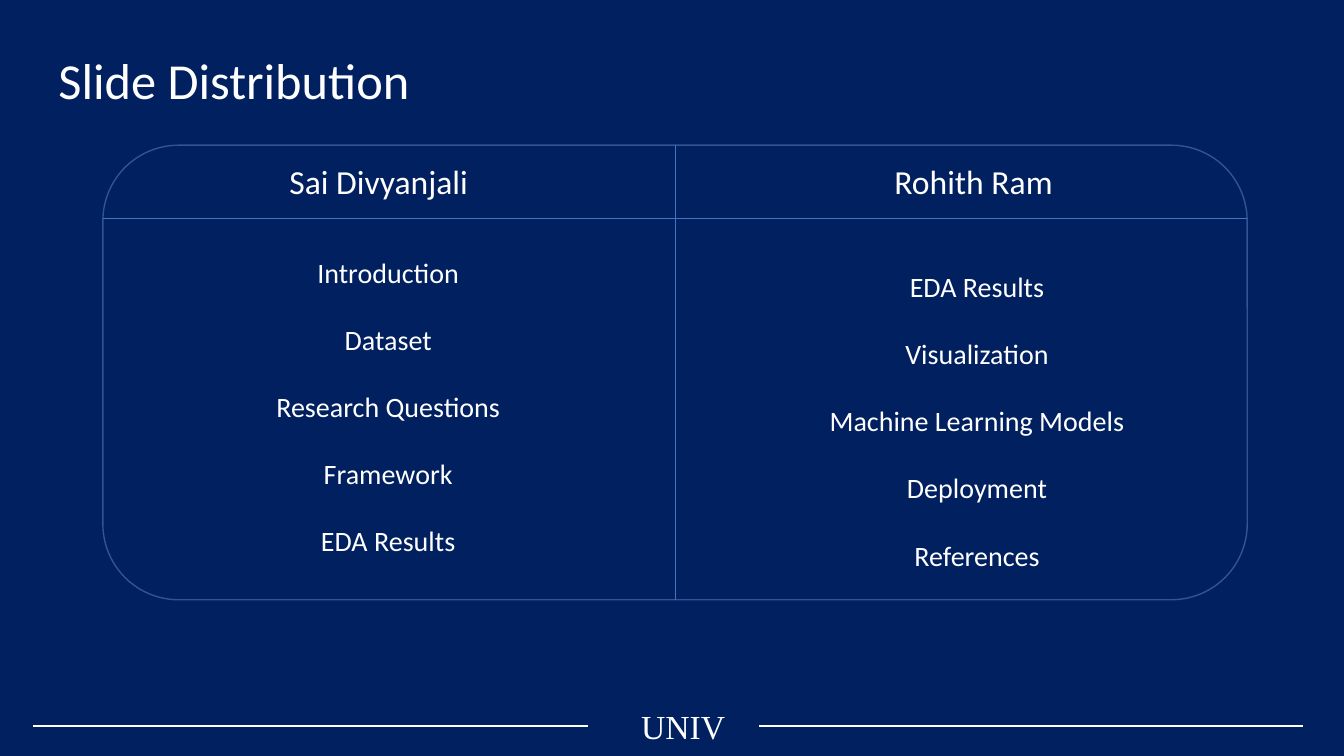
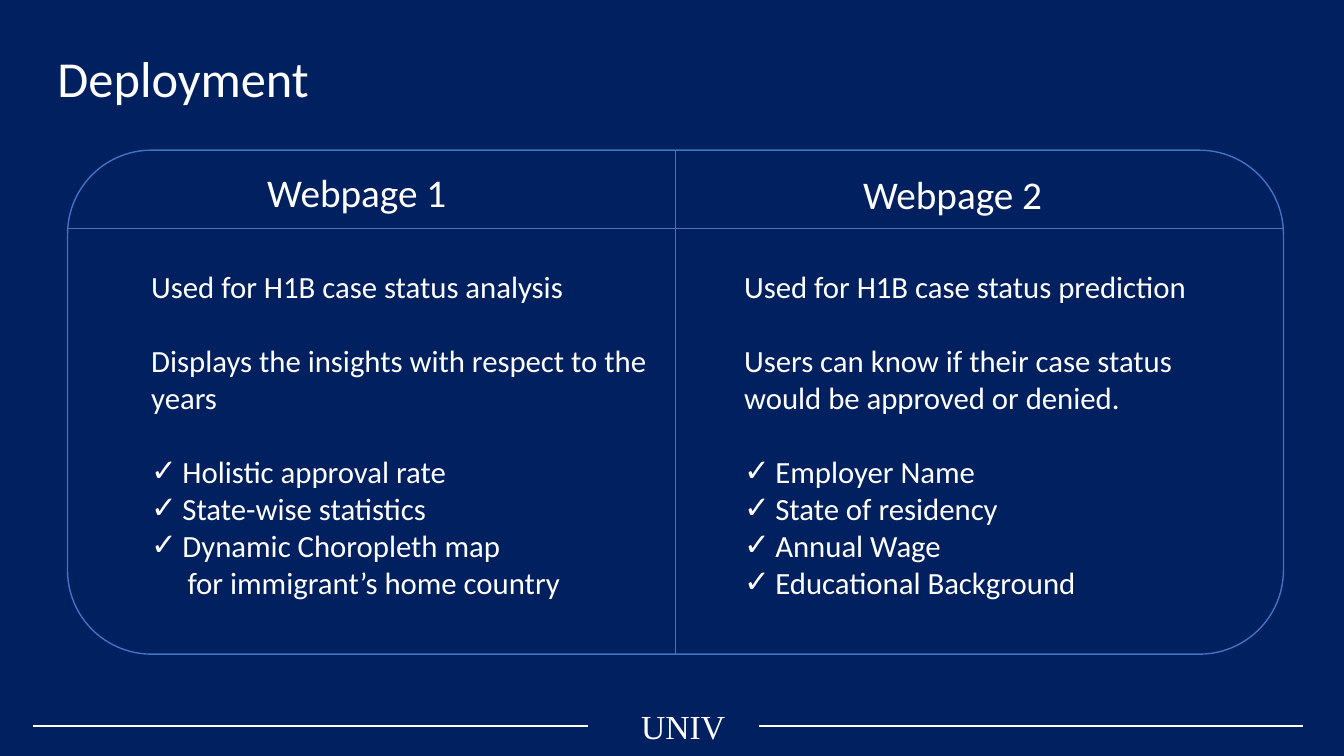
"""Build two comparison slides on a navy background."""
from lxml import etree
from pptx import Presentation
from pptx.dml.color import RGBColor
from pptx.enum.shapes import MSO_CONNECTOR, MSO_SHAPE
from pptx.enum.text import MSO_ANCHOR, MSO_AUTO_SIZE, PP_ALIGN
from pptx.oxml.ns import qn
from pptx.util import Pt

PX = 9144
STRAIGHT = MSO_CONNECTOR.STRAIGHT
ROUNDED = MSO_SHAPE.ROUNDED_RECTANGLE
TOP = MSO_ANCHOR.TOP
NO_FIT = MSO_AUTO_SIZE.NONE
LEFT, CENTER = PP_ALIGN.LEFT, PP_ALIGN.CENTER
TOP_SIDE, LEFT_SIDE, BOTTOM_SIDE, RIGHT_SIDE = range(4)

COLORS = {"navy": "002060", "white": "FFFFFF", "blue": "4472C4", "dim": "325491"}
FONT, FOOTER_FONT = "Calibri", "Times New Roman"
LINE_HEIGHT = 1.2
COMPARISON_LAYOUT = 4
HEADING_WIDTH, HEADING_HEIGHT = 404, 57
BODY_WIDTH, BODY_HEIGHT = 514, 343
INDENTS = {"plain": (0, 0), "check": (31, -31), "tail": (36, 0)}

SLIDES = [
    {
        "title": ("Slide Distribution", 48, 44),
        "card": (102, 144, 1135, 451),
        "outline": "dim",
        "header_height": 73,
        "heading_size": 24,
        "headings": [("Sai Divyanjali", 277, 155), ("Rohith Ram", 877, 155)],
        "body_size": 20,
        "align": CENTER,
        "bodies": [
            (128, 248, [("plain", [topic]) for topic in (
                "Introduction", "Dataset", "Research Questions",
                "Framework", "EDA Results")]),
            (712, 262, [("plain", [topic]) for topic in (
                "EDA Results", "Visualization", "Machine Learning Models",
                "Deployment", "References")]),
        ],
    },
    {
        "title": ("Deployment", 47, 42),
        "card": (67, 149, 1206, 500),
        "outline": "blue",
        "header_height": 78,
        "heading_size": 28,
        "headings": [("Webpage 1", 255, 162), ("Webpage 2", 846, 164)],
        "body_size": 22,
        "align": LEFT,
        "bodies": [
            (140, 261, [
                ("plain", ["Used for H1B case status analysis"]),
                ("plain", ["Displays the insights with respect to the years"]),
                ("check", ["Holistic approval rate", "State-wise statistics",
                           "Dynamic Choropleth map"]),
                ("tail", ["for immigrant’s home country"]),
            ]),
            (728, 261, [
                ("plain", ["Used for H1B case status prediction"]),
                ("plain", ["Users can know if their case status "
                           "would be approved or denied."]),
                ("check", ["Employer Name", "State of residency",
                           "Annual Wage", "Educational Background"]),
            ]),
        ],
    },
]


def color(name):
    """Return a palette colour."""
    return RGBColor.from_string(COLORS[name])


def place(shape, left, top, width, height):
    """Move and size a shape in px."""
    shape.left, shape.top = left * PX, top * PX
    shape.width, shape.height = width * PX, height * PX


def style_paragraph(paragraph, size, font=FONT, align=LEFT, gap=0, kind="plain"):
    """Format a paragraph with its spacing, indent, bullet and font."""
    paragraph.alignment = align
    paragraph.line_spacing = 1.0
    paragraph.space_before = Pt(gap)
    paragraph.space_after = Pt(0)
    properties = paragraph._p.get_or_add_pPr()
    margin, indent = INDENTS[kind]
    properties.set("marL", str(margin * PX))
    properties.set("indent", str(indent * PX))
    if kind == "check":
        etree.SubElement(properties, qn("a:buChar")).set("char", "✓")
    else:
        etree.SubElement(properties, qn("a:buNone"))
    paragraph.font.name = font
    paragraph.font.size = Pt(size)
    paragraph.font.bold = False
    paragraph.font.color.rgb = color("white")


def prepare_frame(shape, wrap=True):
    """Return the text frame, anchored at the top with a fixed size."""
    frame = shape.text_frame
    frame.word_wrap = wrap
    frame.auto_size = NO_FIT
    frame.vertical_anchor = TOP
    return frame


def fill_line(shape, text, size, font=FONT, wrap=True):
    """Write one formatted line into a shape."""
    frame = prepare_frame(shape, wrap)
    frame.text = text
    style_paragraph(frame.paragraphs[0], size, font)


def fill_body(shape, groups, size, align):
    """Write groups of lines, with one line of space between groups."""
    frame = prepare_frame(shape)
    paragraph = frame.paragraphs[0]
    for group_index, (kind, lines) in enumerate(groups):
        for line_index, line in enumerate(lines):
            if group_index or line_index:
                paragraph = frame.add_paragraph()
            paragraph.text = line
            spaced = group_index and not line_index and kind != "tail"
            gap = size * LINE_HEIGHT if spaced else 0
            style_paragraph(paragraph, size, align=align, gap=gap, kind=kind)


def add_line(slide, start, end, line_color, width):
    """Draw a straight line between two points in px."""
    points = [value * PX for value in (*start, *end)]
    line = slide.shapes.add_connector(STRAIGHT, *points)
    line.line.color.rgb = color(line_color)
    line.line.width = Pt(width)
    etree.SubElement(line._element.spPr, qn("a:effectLst"))
    return line


def add_footer(slide):
    """Add the footer name with a rule on either side."""
    box = slide.shapes.add_textbox(626 * PX, 695 * PX, 127 * PX, 50 * PX)
    fill_line(box, "UNIV", 24, FOOTER_FONT, wrap=False)
    right_rule = add_line(slide, (753, 720), (1292, 720), "white", 1.5)
    right_rule.begin_connect(box, RIGHT_SIDE)
    add_line(slide, (33, 720), (583, 720), "white", 1.5)


def add_card(slide, bounds, outline, header_height):
    """Add the rounded card, its header rule and its column divider."""
    left, top, width, height = bounds
    card = slide.shapes.add_shape(ROUNDED, *(value * PX for value in bounds))
    card.shadow.inherit = False
    card.fill.background()
    card.line.color.rgb = color(outline)
    card.line.width = Pt(1)
    rule_y, middle = top + header_height, left + width // 2
    add_line(slide, (left, rule_y), (left + width, rule_y), "blue", 0.5)
    divider = add_line(slide, (middle, top), (middle, top + height), "blue", 0.5)
    divider.begin_connect(card, TOP_SIDE)
    divider.end_connect(card, BOTTOM_SIDE)


def add_comparison(presentation, content):
    """Add one slide with a title and a two-column card."""
    slide = presentation.slides.add_slide(
        presentation.slide_layouts[COMPARISON_LAYOUT])
    add_footer(slide)
    add_card(slide, content["card"], content["outline"], content["header_height"])
    title, left, top = content["title"]
    place(slide.shapes.title, left, top, 959, 70)
    fill_line(slide.shapes.title, title, 36)
    columns = zip(content["headings"], content["bodies"])
    for column, ((heading, left, top), body) in enumerate(columns):
        heading_shape = slide.placeholders[1 + 2 * column]
        place(heading_shape, left, top, HEADING_WIDTH, HEADING_HEIGHT)
        fill_line(heading_shape, heading, content["heading_size"])
        body_left, body_top, groups = body
        body_shape = slide.placeholders[2 + 2 * column]
        place(body_shape, body_left, body_top, BODY_WIDTH, BODY_HEIGHT)
        fill_body(body_shape, groups, content["body_size"], content["align"])


def main():
    """Build and save the presentation."""
    presentation = Presentation()
    presentation.slide_width, presentation.slide_height = 1333 * PX, 750 * PX
    background = presentation.slide_master.background.fill
    background.solid()
    background.fore_color.rgb = color("navy")
    for content in SLIDES:
        add_comparison(presentation, content)
    presentation.save("out.pptx")


if __name__ == "__main__":
    main()
